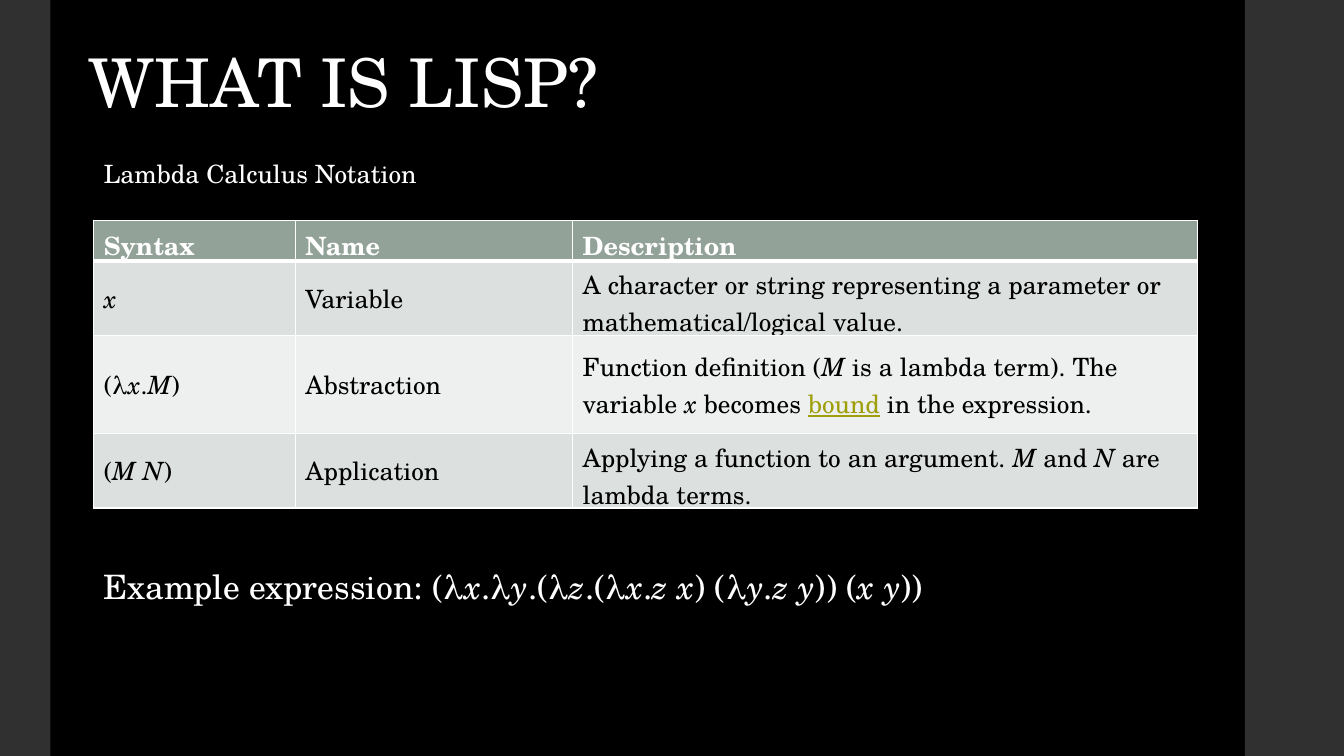
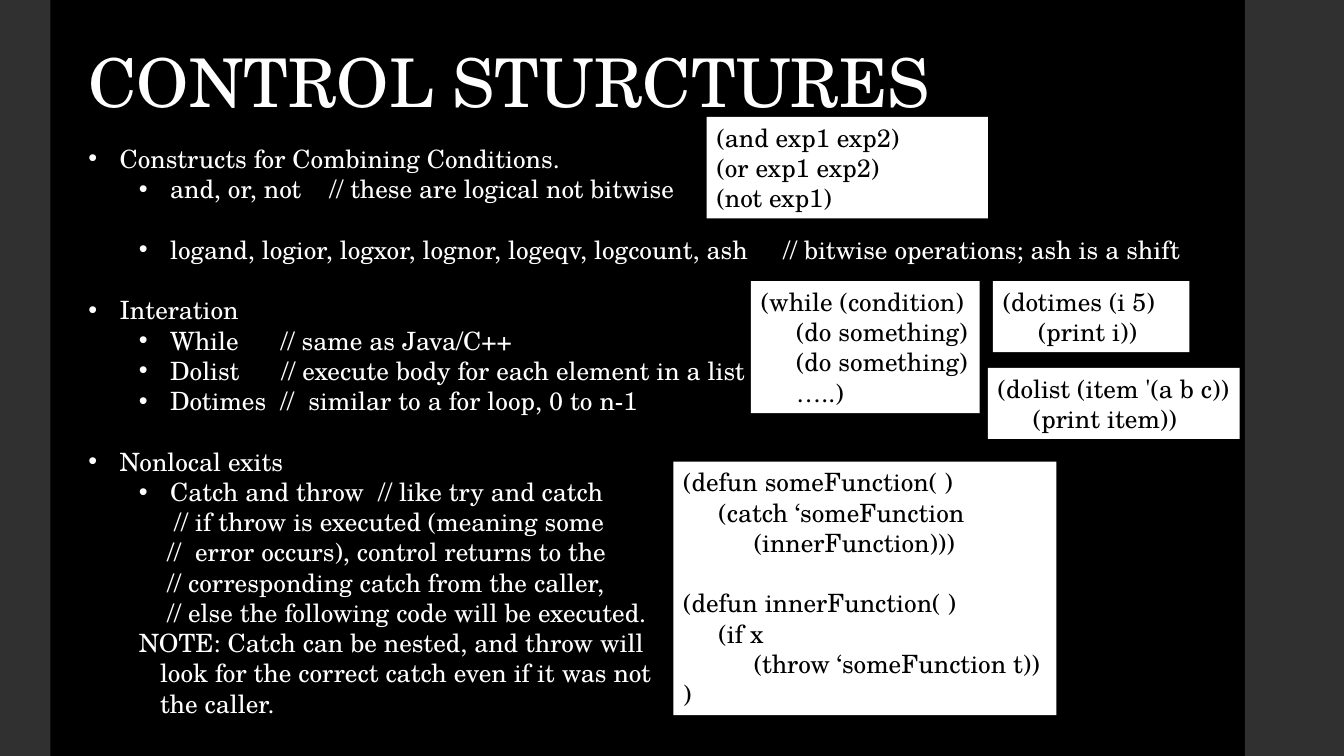
from lxml.etree import SubElement
from pptx import Presentation
from pptx.dml.color import RGBColor
from pptx.enum.shapes import MSO_SHAPE
from pptx.enum.text import MSO_ANCHOR, MSO_AUTO_SIZE, PP_ALIGN
from pptx.oxml.ns import qn
from pptx.util import Inches, Pt

# Content: *italic*, ~link~
LISP_TITLE = "WHAT IS LISP?"
SUBTITLE = "Lambda Calculus Notation"
NOTATION = [
    ("Syntax", "Name", "Description"),
    ("*x*", "Variable",
     "A character or string representing a parameter or mathematical/logical value."),
    ("(λ*x*.*M*)", "Abstraction",
     "Function definition (*M* is a lambda term). The variable *x* becomes ~bound~ in the expression."),
    ("(*M N*)", "Application",
     "Applying a function to an argument. *M* and *N* are lambda terms."),
]
EXAMPLE = "Example expression: (λ*x*.λ*y*.(λ*z*.(λ*x*.*z x*) (λ*y*.*z y*)) (*x y*))"

CONTROL_TITLE = "CONTROL STURCTURES"
TOPIC = {"indent": 0.31, "bullet": True}
POINT = {"indent": 0.81, "bullet": True, "level": 1}
REMARK = {"indent": 0.78, "level": 1}
NOTE = {"indent": 0.71, "level": 1}
# Text, kind of line, further format: gaps widen the spaces before and after //,
# counted in spaces; blank is lines left free above
CONSTRUCTS = [
    ("Constructs for Combining Conditions.", TOPIC, {}),
    ("and, or, not // these are logical not bitwise", POINT, {"gaps": (3, 0)}),
    ("logand, logior, logxor, lognor, logeqv, logcount, ash // bitwise operations; ash is a shift",
     POINT, {"gaps": (4, 0), "blank": 1}),
    ("Interation", TOPIC, {"blank": 1}),
    ("While // same as Java/C++", POINT, {"gaps": (5, 0)}),
    ("Dolist // execute body for each element in a list", POINT, {"gaps": (5, 0)}),
    ("Dotimes // similar to a for loop, 0 to n-1", POINT, {"gaps": (1, 1)}),
    ("Nonlocal exits", TOPIC, {"blank": 1}),
    ("Catch and throw // like try and catch", POINT, {"gaps": (1, 0)}),
    ("// if throw is executed (meaning some", REMARK, {"indent": 0.85}),
    ("// error occurs), control returns to the", REMARK, {"gaps": (0, 1)}),
    ("// corresponding catch from the caller,", REMARK, {}),
    ("// else the following code will be executed.", REMARK, {}),
    ("NOTE: Catch can be nested, and throw will", NOTE, {"indent": 0.5}),
    ("look for the correct catch even if it was not", NOTE, {}),
    ("the caller.", NOTE, {}),
]
# Left, top, width, then (depth, code, blank lines above)
SNIPPETS = [
    (7.01, 1.16, 2.79, [(0, "(and exp1 exp2)", 0), (0, "(or exp1 exp2)", 0), (0, "(not exp1)", 0)]),
    (7.45, 2.79, 2.27, [(0, "(while (condition)", 0), (1, "(do something)", 0),
                        (1, "(do something)", 0), (1, "…..)", 0)]),
    (9.8, 3.65, 2.5, [(0, "(dolist (item '(a b c))", 0), (1, "(print item))", 0)]),
    (9.85, 2.79, 1.95, [(0, "(dotimes (i 5)", 0), (1, "(print i))", 0)]),
    (6.68, 4.58, 3.8, [(0, "(defun someFunction( )", 0), (1, "(catch ‘someFunction", 0),
                       (2, "(innerFunction)))", 0), (0, "(defun innerFunction( )", 1),
                       (1, "(if x", 0), (2, "(throw ‘someFunction t))", 0), (0, ")", 0)]),
]

# Shared style
FONT, BULLET_FONT = "TeX Gyre Schola", "Arial"
BLACK, WHITE = RGBColor(0, 0, 0), RGBColor(255, 255, 255)
BAND = RGBColor(0x30, 0x30, 0x30)
HEADER = RGBColor(0x93, 0xA2, 0x99)
STRIPES = RGBColor(0xEE, 0xF0, 0xEF), RGBColor(0xDC, 0xE0, 0xDE)
LINK = RGBColor(0x9F, 0x9F, 0x0B)
WIDTH, HEIGHT = 40 / 3, 7.5
BODY_SIZE, LINE, SPACE = 18, 21.75, 5  # in points: text, line, space
CODE_STEP = 0.35
COLUMNS, ROWS = (2, 2.75, 6.2), (0.4, 0.74, 0.97, 0.74)


def spans_of(text, gaps):
    """Yield each stretch of text with its italic, link and extra spaces."""
    if gaps:
        before, after = text.split("//")
        if before:
            yield before[:-1], False, False, 0
            yield " ", False, False, gaps[0]
        yield "//", False, False, 0
        yield " ", False, False, gaps[1]
        yield after[1:], False, False, 0
        return
    for link, part in enumerate(text.split("~")):
        for italic, piece in enumerate(part.split("*")):
            if piece:
                yield piece, italic % 2 == 1, link % 2 == 1, 0


def write(para, text, size=BODY_SIZE, color=WHITE, bold=False, indent=0, bullet=False,
          level=0, gaps=None, blank=0):
    para.alignment, para.level = PP_ALIGN.LEFT, level
    properties = para._p.get_or_add_pPr()
    properties.set("marL", str(Inches(indent)))
    properties.set("indent", str(-Inches(0.31) if bullet else 0))
    if bullet:
        SubElement(properties, qn("a:buFont"), typeface=BULLET_FONT)
        SubElement(properties, qn("a:buChar")).set("char", "•")
    para.space_before = Pt(blank * LINE)
    for piece, italic, link, extra in spans_of(text, gaps):
        span = para.add_run()
        span.text = piece
        font = span.font
        font.name, font.size, font.bold, font.italic = FONT, Pt(size), bold, italic
        font.underline = link
        font.color.rgb = LINK if link else color
        if extra:
            font._element.set("spc", str(extra * SPACE * 100))


def fill_frame(frame, lines):
    """Write (text, format) pairs, one a paragraph."""
    frame.word_wrap = True
    frame.auto_size = MSO_AUTO_SIZE.SHAPE_TO_FIT_TEXT
    frame.vertical_anchor = MSO_ANCHOR.TOP
    for index, (text, style) in enumerate(lines):
        write(frame.add_paragraph() if index else frame.paragraphs[0], text, **style)


def add_text(page, left, top, width, height, lines):
    box = page.shapes.add_textbox(*map(Inches, (left, top, width, height)))
    fill_frame(box.text_frame, lines)


def add_block(page, left, top, width, height, color):
    block = page.shapes.add_shape(MSO_SHAPE.RECTANGLE, *map(Inches, (left, top, width, height)))
    block.shadow.inherit = False
    block.fill.solid()
    block.fill.fore_color.rgb = color
    block.line.fill.background()
    return block


def add_page(deck, title, width):
    page = deck.slides.add_slide(deck.slide_layouts[5])
    holder = page.shapes.title
    holder.left, holder.top, holder.width, holder.height = map(Inches, (0.78, 0.35, width, 0.91))
    fill_frame(holder.text_frame, [(title, {"size": 48})])
    return page


def add_borders(cell, top, bottom):
    properties = cell._tc.get_or_add_tcPr()
    for side, points in (("L", 1), ("R", 1), ("T", top), ("B", bottom)):
        line = SubElement(properties, qn("a:ln" + side), w=str(Pt(points)))
        SubElement(SubElement(line, qn("a:solidFill")), qn("a:srgbClr"), val=str(WHITE))


def add_notation(page, left, top):
    table = page.shapes.add_table(len(ROWS), len(COLUMNS), *map(
        Inches, (left, top, sum(COLUMNS), sum(ROWS)))).table
    for column, width in zip(table.columns, COLUMNS):
        column.width = Inches(width)
    for index, (row, height, texts) in enumerate(zip(table.rows, ROWS, NOTATION)):
        row.height = Inches(height)
        heading = index == 0
        for cell, text in zip(row.cells, texts):
            add_borders(cell, top=3 if index == 1 else 1, bottom=3 if heading else 1)
            cell.fill.solid()
            cell.fill.fore_color.rgb = HEADER if heading else STRIPES[index % 2]
            cell.vertical_anchor = MSO_ANCHOR.MIDDLE
            write(cell.text_frame.paragraphs[0], text, bold=heading,
                  color=WHITE if heading else BLACK)


deck = Presentation()
deck.slide_width, deck.slide_height = Inches(WIDTH), Inches(HEIGHT)

# Notation slide
page = add_page(deck, LISP_TITLE, 8.2)
add_notation(page, 0.93, 2.19)
add_text(page, 0.93, 5.57, 10.94, 0.5, [(EXAMPLE, {"size": 24})])
add_text(page, 0.93, 1.52, 10.84, 0.4, [(SUBTITLE, {})])

# Background and side bands, kept on the master
master = deck.slide_master
master.background.fill.solid()
master.background.fill.fore_color.rgb = BLACK
for left, width in ((12.35, WIDTH - 12.35), (0, 0.5)):
    band = add_block(page, left, 0, width, HEIGHT, BAND)
    master.shapes.element.insert(2, band.element)

# Control structures slide
page = add_page(deck, CONTROL_TITLE, 11.24)
add_text(page, 0.78, 1.37, 11.24, 5.86,
         [(text, {**kind, **extra}) for text, kind, extra in CONSTRUCTS])
for left, top, width, code in SNIPPETS:
    count = sum(1 + blank for _, _, blank in code)
    block = add_block(page, left, top, width, count * LINE / 72 + 0.1, WHITE)
    block.text_frame.margin_right = Inches(0.05)
    fill_frame(block.text_frame, [
        (text, {"color": BLACK, "indent": depth * CODE_STEP, "blank": blank})
        for depth, text, blank in code])

deck.save("out.pptx")
